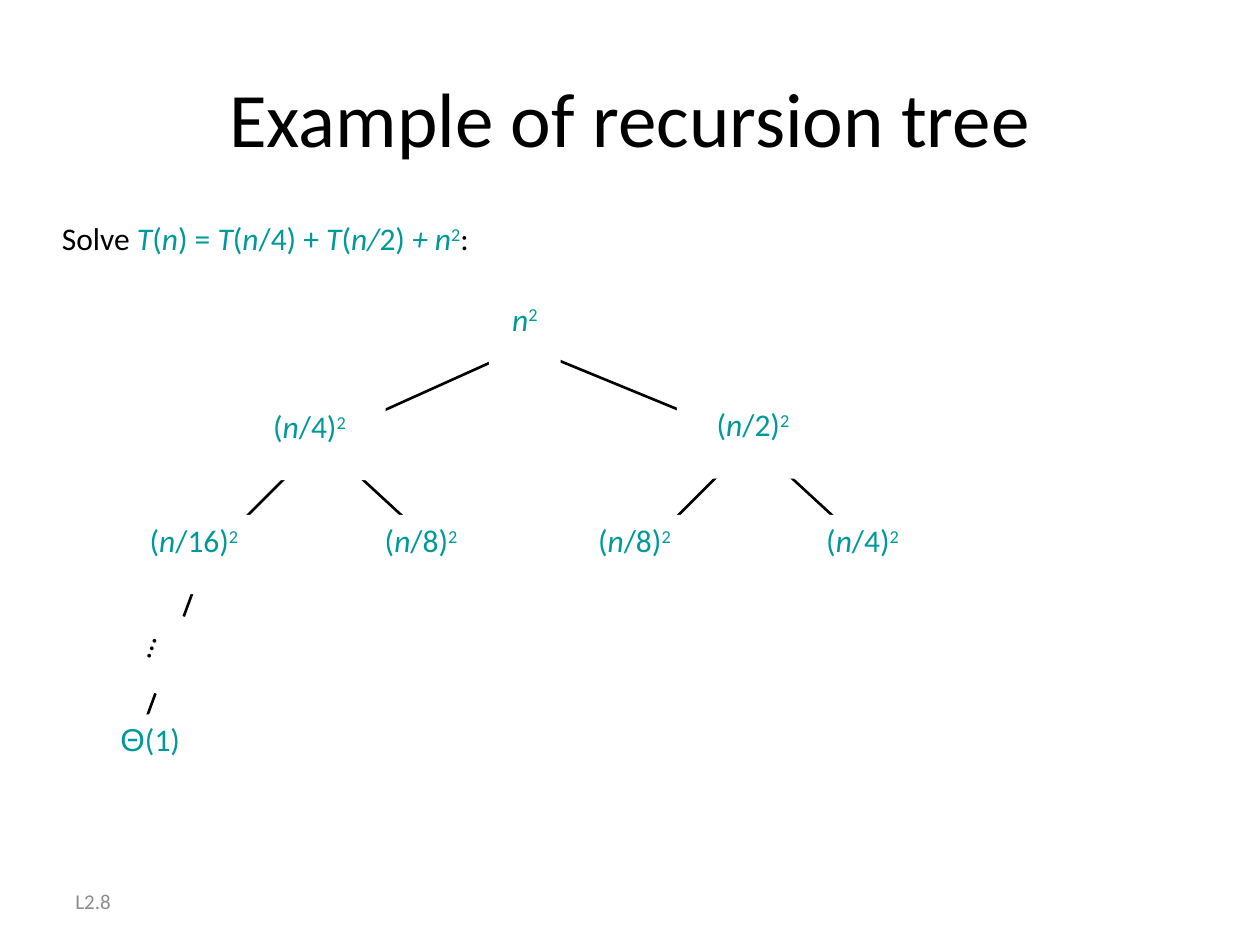
from lxml.etree import SubElement
from pptx import Presentation
from pptx.dml.color import RGBColor
from pptx.enum.shapes import MSO_CONNECTOR, MSO_SHAPE
from pptx.enum.text import MSO_ANCHOR, MSO_AUTO_SIZE, PP_ALIGN
from pptx.oxml.ns import qn
from pptx.util import Cm, Pt

COLORS = {"black": "000000", "teal": "009999", "gray": "8C8C8C", "white": "FFFFFF"}
NODE_HEIGHT = 1.6
WIDE, MEDIUM = 3.63, 3.07
PARENT_Y, CHILD_Y = 8.9, 11.24
LEAF_TOP = 10.38


def rgb(name):
    return RGBColor.from_string(COLORS[name])


def write(shape, runs, color, size=18, align=PP_ALIGN.LEFT, anchor=MSO_ANCHOR.TOP,
          grow=False):
    """Fill a shape with (text, style) runs; style is "", "italic" or "super"."""
    frame = shape.text_frame
    frame.word_wrap = not grow
    if grow:
        frame.auto_size = MSO_AUTO_SIZE.SHAPE_TO_FIT_TEXT
    frame.vertical_anchor = anchor
    paragraph = frame.paragraphs[0]
    paragraph.alignment = align
    for text, style in runs:
        run = paragraph.add_run()
        run.text = text
        run.font.name = "Arial" if text == "Θ" else "Calibri"
        run.font.size = Pt(size)
        run.font.italic = style == "italic"
        run.font.color.rgb = rgb(color)
        if style == "super":
            run._r.get_or_add_rPr().set("baseline", "30000")
    return paragraph


def add_text(slide, left, top, width, height, runs, color="black", **layout):
    box = slide.shapes.add_textbox(Cm(left), Cm(top), Cm(width), Cm(height))
    return write(box, runs, color, **layout)


def add_edge(slide, start, end):
    line = slide.shapes.add_connector(
        MSO_CONNECTOR.STRAIGHT, *(Cm(value) for value in start + end))
    line.line.color.rgb = rgb("black")
    line.line.width = Pt(1.5)
    SubElement(line._element.spPr, qn("a:effectLst"))


def add_node(slide, center, top, width, runs, color="teal", rotation=0):
    """Add a white box that hides the edge ends behind its label."""
    node = slide.shapes.add_shape(
        MSO_SHAPE.RECTANGLE, Cm(center - width / 2), Cm(top), Cm(width), Cm(NODE_HEIGHT))
    node.shadow.inherit = False
    node.fill.solid()
    node.fill.fore_color.rgb = rgb("white")
    node.line.fill.background()
    node.rotation = rotation
    write(node, runs, color, align=PP_ALIGN.CENTER, grow=True)


def squared_fraction(divisor):
    return [("(", ""), ("n", "italic"), (f"/{divisor})", ""), ("2", "super")]


def add_edges(slide):
    for x in (6.35, 15.24):
        add_edge(slide, (10.59, 6.99), (x, PARENT_Y))
    for parent_x in (6.48, 15.16):
        for offset in (-2.34, 2.54):
            add_edge(slide, (parent_x, PARENT_Y), (parent_x + offset, CHILD_Y))
    add_edge(slide, (4.14, CHILD_Y), (2.67, 15.24))


def add_nodes(slide):
    fractions = [
        (6.24, 8.08, MEDIUM, 4), (15.18, 8.05, MEDIUM, 2),
        (3.91, LEAF_TOP, WIDE, 16), (8.49, LEAF_TOP, MEDIUM, 8),
        (12.79, LEAF_TOP, MEDIUM, 8), (17.39, LEAF_TOP, MEDIUM, 4),
    ]
    for center, top, width, divisor in fractions:
        add_node(slide, center, top, width, squared_fraction(divisor))
    add_node(slide, 10.58, 5.92, 1.45, [("n", "italic"), ("2", "super")])
    add_node(slide, 3.03, 14.4, 2.67, [("Θ", ""), ("(1)", "")])
    add_node(slide, 3.13, 12.3, 1.65, [("…", "")], "black", rotation=289.4)


def add_recurrence(slide):
    runs = [
        ("Solve ", ""), ("T", "italic"), ("(", ""), ("n", "italic"), (") = ", ""),
        ("T", "italic"), ("(", ""), ("n", "italic"), ("/4) + ", ""),
        ("T", "italic"), ("(", ""), ("n/", "italic"), ("2)", ""),
        (" + n", "italic"), ("2", "super"), (":", ""),
    ]
    paragraph = add_text(slide, 1, 4.29, 15.93, NODE_HEIGHT, runs, "teal", grow=True)
    for run in (paragraph.runs[0], paragraph.runs[-1]):
        run.font.color.rgb = rgb("black")


def main():
    presentation = Presentation()
    presentation.slide_width, presentation.slide_height = Cm(25.4), Cm(19.05)
    slide = presentation.slides.add_slide(presentation.slide_layouts[6])
    add_text(slide, 1.27, 0.76, 22.86, 3.18, [("Example of recursion tree", "")],
             size=44, align=PP_ALIGN.CENTER, anchor=MSO_ANCHOR.MIDDLE)
    add_edges(slide)
    add_nodes(slide)
    add_recurrence(slide)
    add_text(slide, 1.27, 17.65, 5.92, 1.02, [("L2.8", "")], "gray",
             size=12, anchor=MSO_ANCHOR.MIDDLE)
    presentation.save("out.pptx")


if __name__ == "__main__":
    main()
